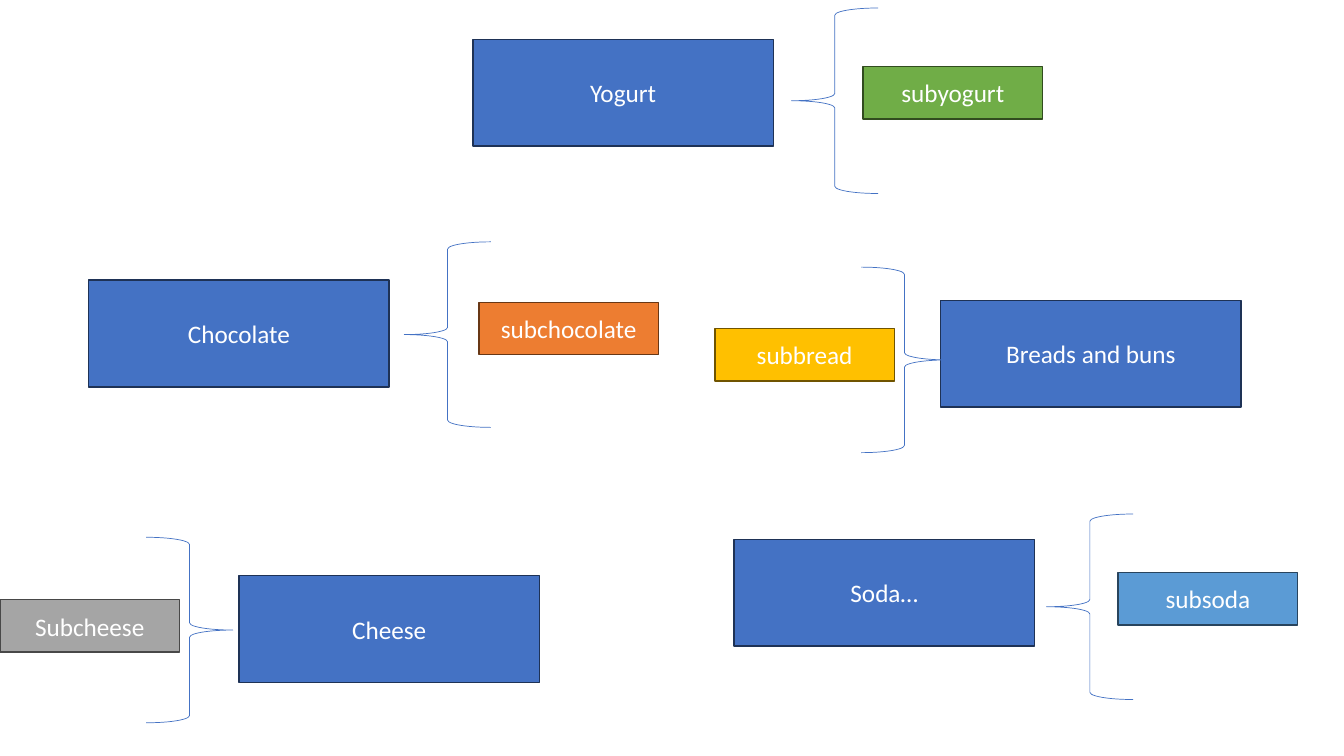
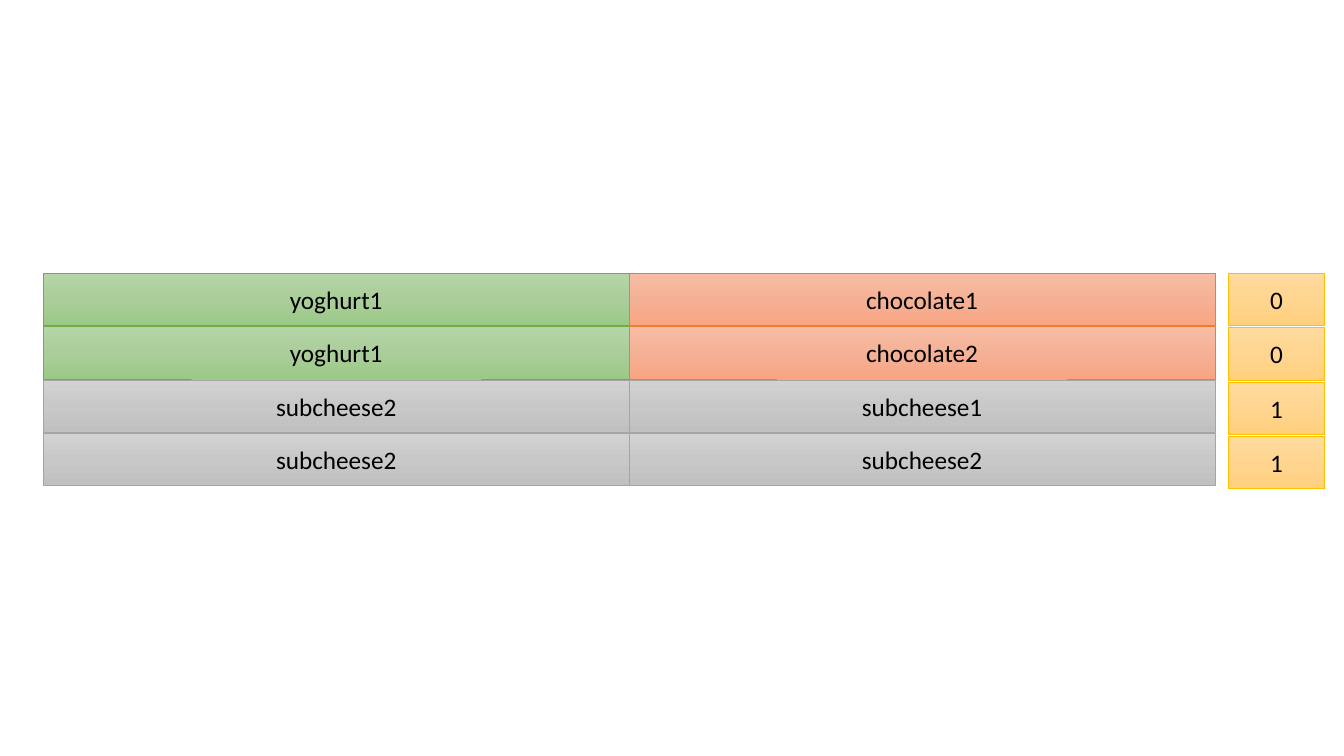
import copy

import pptx
import pptx.dml.color
import pptx.enum.shapes
import pptx.enum.text
import pptx.oxml.ns
import pptx.util
from pptx.util import Inches

SHAPES = pptx.enum.shapes.MSO_SHAPE
BLUE, DARK_BLUE = "4472C4", "1E3256"
WHITE, BLACK = "FFFFFF", "000000"


def color(hex_string):
    return pptx.dml.color.RGBColor.from_string(hex_string)


def add_box(slide, preset, left, top, width, height, line, line_width,
            fills=(), text="", text_color=WHITE):
    """Add a shape: no fill, one solid fill, or three colours running downwards."""
    shape = slide.shapes.add_shape(
        preset, Inches(left), Inches(top), Inches(width), Inches(height))
    shape.shadow.inherit = False
    shape.line.color.rgb = color(line)
    shape.line.width = pptx.util.Pt(line_width)
    if not fills:
        shape.fill.background()
    elif len(fills) == 1:
        shape.fill.solid()
        shape.fill.fore_color.rgb = color(fills[0])
    else:
        shape.fill.gradient()
        shape.fill.gradient_angle = 270
        stop_list = next(shape._element.iter(pptx.oxml.ns.qn("a:gsLst")))
        stop_list.insert(1, copy.deepcopy(stop_list[0]))
        for index, stop in enumerate(shape.fill.gradient_stops):
            stop.position = index / 2
            stop.color.rgb = color(fills[index])
    if text:
        shape.text_frame.text = text
        shape.text_frame.vertical_anchor = pptx.enum.text.MSO_ANCHOR.MIDDLE
        paragraph = shape.text_frame.paragraphs[0]
        paragraph.alignment = pptx.enum.text.PP_ALIGN.CENTER
        font = paragraph.runs[0].font
        font.name = "Calibri"
        font.size = pptx.util.Pt(18)
        font.color.rgb = color(text_color)
    return shape


presentation = pptx.Presentation()
presentation.slide_width = Inches(13.33)
presentation.slide_height = Inches(7.5)
blank_layout = presentation.slide_layouts[6]

# Slide 1: categories, each with a brace and a subcategory
slide = presentation.slides.add_slide(blank_layout)

# category, its place, brace place, brace rotation, subcategory, its place, fill, line
categories = [
    ("Yogurt", (4.69, 0.39), (7.85, 0.08), 0,
     "subyogurt", (8.56, 0.66), "70AD47", "314C1F"),
    ("Chocolate", (0.88, 2.78), (4.01, 2.4), 0,
     "subchocolate", (4.75, 3), "ED7D31", "683715"),
    ("Breads and buns", (9.33, 2.98), (8.54, 2.65), 180,
     "subbread", (7.09, 3.26), "FFC000", "705400"),
    ("Cheese", (2.37, 5.71), (1.45, 5.33), 180,
     "Subcheese", (0, 5.95), "A5A5A5", "484848"),
    ("Soda…", (7.28, 5.35), (10.38, 5.1), 0,
     "subsoda", (11.09, 5.68), "5B9BD5", "28445D"),
]
for name, place, brace_place, rotation, sub_name, sub_place, fill, line in categories:
    add_box(slide, SHAPES.RECTANGLE, *place, 2.98, 1.06, DARK_BLUE, 1, [BLUE], name)
    brace = add_box(slide, SHAPES.LEFT_BRACE, *brace_place, 0.86, 1.84, BLUE, 0.5)
    brace.rotation = rotation
    add_box(slide, SHAPES.RECTANGLE, *sub_place, 1.78, 0.52, line, 1, [fill], sub_name)

# Slide 2: pairs of items with a score
slide = presentation.slides.add_slide(blank_layout)

# line colour, then the gradient from top to bottom
GREEN = ("70AD47", ["B5D5A7", "AACE9A", "9CC987"])
ORANGE = ("ED7D31", ["F7BDA5", "F5B196", "F8A582"])
GRAY = ("A5A5A5", ["D2D2D2", "C8C8C8", "C0C0C0"])
GOLD = ("FFC000", ["FFDB9E", "FFD590", "FFD07C"])

first_top, cell_height = 2.71, 0.52
# left, width, row pitch, cells from top to bottom
columns = [
    (0.43, 5.81, 0.53, [("yoghurt1", GREEN), ("yoghurt1", GREEN),
                        ("subcheese2", GRAY), ("subcheese2", GRAY)]),
    (6.24, 5.81, 0.53, [("chocolate1", ORANGE), ("chocolate2", ORANGE),
                        ("subcheese1", GRAY), ("subcheese2", GRAY)]),
    (12.18, 0.96, 0.54, [(score, GOLD) for score in "0011"]),
]
for left, width, pitch, cells in columns:
    for row, (text, (line, gradient)) in enumerate(cells):
        add_box(slide, SHAPES.RECTANGLE, left, first_top + row * pitch, width,
                cell_height, line, 0.5, gradient, text, BLACK)

presentation.save("out.pptx")
